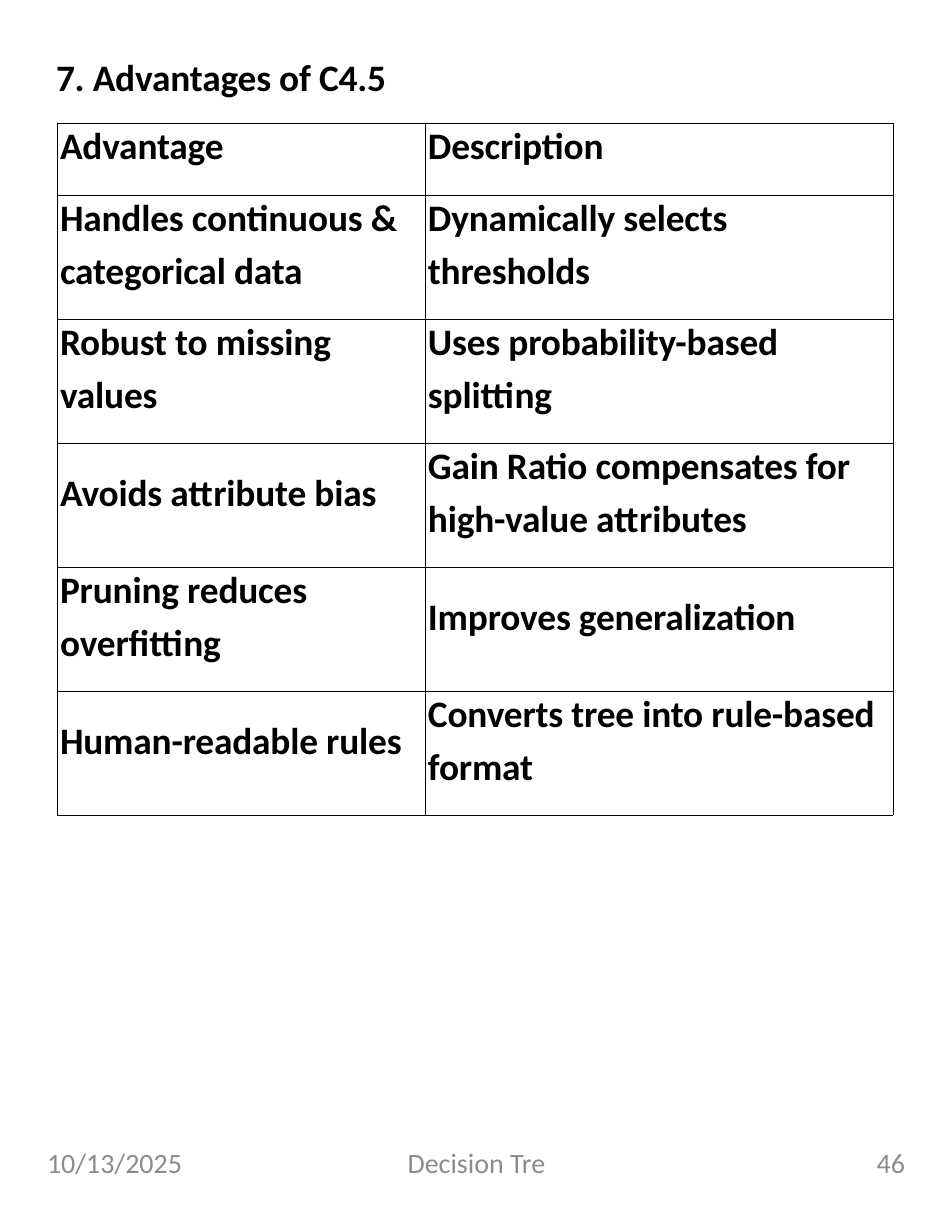
from dataclasses import dataclass

from lxml import etree
from pptx import Presentation
from pptx.dml.color import RGBColor
from pptx.enum.text import MSO_ANCHOR, PP_ALIGN
from pptx.oxml.ns import qn
from pptx.util import Emu, Pt

LEFT, CENTER, RIGHT = PP_ALIGN.LEFT, PP_ALIGN.CENTER, PP_ALIGN.RIGHT
TOP = MSO_ANCHOR.TOP
EMU_PER_PX = 914400 / 112
BLACK, GRAY = "000000", "8C8C8C"
BORDER_SIDES = ("a:lnL", "a:lnR", "a:lnT", "a:lnB")

TABLE_LEFT, TABLE_TOP = 57, 123
COLUMN_WIDTHS = (368, 468)
HEADER_HEIGHT, ROW_HEIGHT = 72, 124
CELL_INDENT, TIGHT_INSET, MIDDLE_INSET = 3, 1, 28

ROWS = (
    ("Advantage", "Description"),
    ("Handles continuous &\ncategorical data", "Dynamically selects\nthresholds"),
    ("Robust to missing\nvalues", "Uses probability-based\nsplitting"),
    ("Avoids attribute bias", "Gain Ratio compensates for\nhigh-value attributes"),
    ("Pruning reduces\noverfitting", "Improves generalization"),
    ("Human-readable rules", "Converts tree into rule-based\nformat"),
)


@dataclass(frozen=True)
class TextStyle:
    """Describe the look of a run of text."""
    size: int
    color: str
    bold: bool = False
    tracking: int = 0


@dataclass(frozen=True)
class Label:
    """Describe a one-line text box in px."""
    text: str
    left: int
    top: int
    width: int
    height: int
    style: TextStyle
    align: PP_ALIGN = LEFT
    inset: int = 0


HEADING = TextStyle(24, BLACK, True, -10)
FOOTER = TextStyle(18, GRAY)
LABELS = (
    Label("7. Advantages of C4.5", 56, 53, 337, 48, HEADING, inset=1),
    Label("10/13/2025", 47, 1146, 220, 62, FOOTER),
    Label("Decision Tre", 324, 1146, 305, 62, FOOTER, CENTER),
    Label("46", 685, 1146, 220, 62, FOOTER, RIGHT),
)


def px(length: int) -> Emu:
    """Turn px into EMU."""
    return Emu(round(length * EMU_PER_PX))


def rgb(color: str) -> RGBColor:
    """Turn a hex string into a colour."""
    return RGBColor.from_string(color)


def set_values(target: object, values: dict) -> None:
    """Set each named attribute on the target."""
    for name, value in values.items():
        setattr(target, name, value)


def write_lines(frame, text: str, style: TextStyle, align: PP_ALIGN = LEFT) -> None:
    """Write one paragraph for each line of text."""
    for index, line in enumerate(text.split("\n")):
        para = frame.add_paragraph() if index else frame.paragraphs[0]
        para.alignment = align
        if index:
            para.space_before = Pt(5.2)
        span = para.add_run()
        span.text = line
        set_values(span.font, {"name": "Calibri", "size": Pt(style.size), "bold": style.bold})
        span.font.color.rgb = rgb(style.color)
        if style.tracking:
            span.font._element.set("spc", str(style.tracking))


def draw_label(page, label: Label) -> None:
    """Draw a text box."""
    box = page.shapes.add_textbox(px(label.left), px(label.top), px(label.width), px(label.height))
    set_values(box.text_frame, {
        "word_wrap": True, "vertical_anchor": TOP,
        "margin_left": 0, "margin_right": 0, "margin_top": px(label.inset), "margin_bottom": 0,
    })
    write_lines(box.text_frame, label.text, label.style, label.align)


def draw_borders(cell) -> None:
    """Give a cell thin black lines on all sides."""
    properties = cell._tc.get_or_add_tcPr()
    for index, side in enumerate(BORDER_SIDES):
        line = etree.Element(qn(side), w=str(Pt(0.5)))
        fill = etree.SubElement(line, qn("a:solidFill"))
        etree.SubElement(fill, qn("a:srgbClr"), val=BLACK)
        properties.insert(index, line)


def draw_cell(cell, text: str, is_header: bool) -> None:
    """Fill in a cell, centring a lone line in a tall row."""
    is_lone = "\n" not in text and not is_header
    set_values(cell, {
        "vertical_anchor": TOP, "margin_left": px(CELL_INDENT), "margin_right": 0,
        "margin_top": px(MIDDLE_INSET if is_lone else TIGHT_INSET), "margin_bottom": 0,
    })
    cell.fill.background()
    draw_borders(cell)
    write_lines(cell.text_frame, text, HEADING)


def draw_table(page) -> None:
    """Draw the table of advantages."""
    heights = [HEADER_HEIGHT] + [ROW_HEIGHT] * (len(ROWS) - 1)
    table = page.shapes.add_table(
        len(ROWS), len(COLUMN_WIDTHS), px(TABLE_LEFT), px(TABLE_TOP),
        px(sum(COLUMN_WIDTHS)), px(sum(heights)),
    ).table
    set_values(table, {"first_row": False, "horz_banding": False})
    for column, width in zip(table.columns, COLUMN_WIDTHS):
        column.width = px(width)
    for index, (row, height, texts) in enumerate(zip(table.rows, heights, ROWS)):
        row.height = px(height)
        for cell, text in zip(row.cells, texts):
            draw_cell(cell, text, index == 0)


def main() -> None:
    """Build and save the deck."""
    deck = Presentation()
    set_values(deck, {"slide_width": px(952), "slide_height": px(1232)})
    page = deck.slides.add_slide(deck.slide_layouts[6])
    draw_table(page)
    for label in LABELS:
        draw_label(page, label)
    deck.save("out.pptx")


if __name__ == "__main__":
    main()
